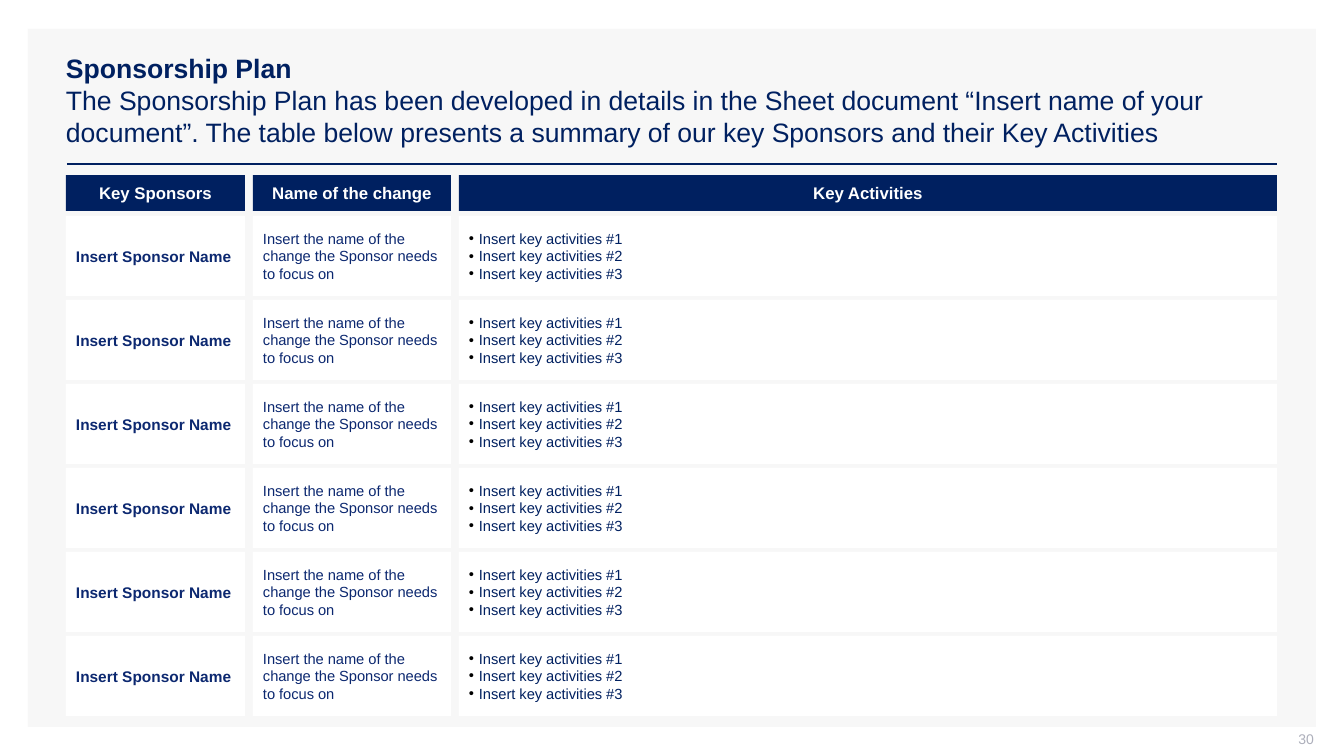
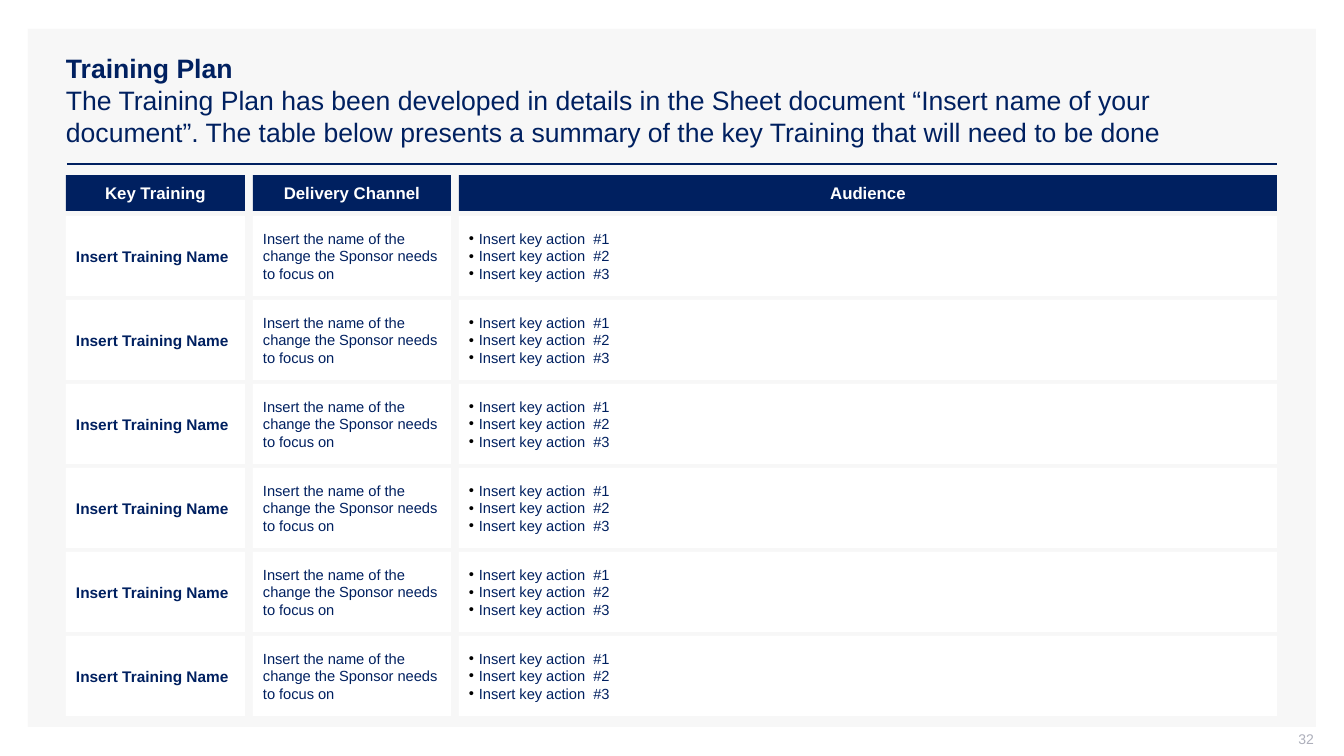
from dataclasses import dataclass

from lxml.etree import SubElement
from pptx import Presentation
from pptx.dml.color import RGBColor
from pptx.enum.shapes import MSO_CONNECTOR, MSO_SHAPE
from pptx.enum.text import MSO_ANCHOR, MSO_AUTO_SIZE, PP_ALIGN
from pptx.oxml.ns import qn
from pptx.util import Emu, Pt


@dataclass(frozen=True)
class Theme:
    font: str = "Arial"
    navy: str = "002060"
    blue: str = "0C2870"
    white: str = "FFFFFF"
    black: str = "000000"
    panel: str = "F7F7F7"
    grey: str = "ADAFBB"
    title_size: float = 19
    header_size: float = 12
    name_size: float = 11
    body_size: float = 10.5
    number_size: float = 10


@dataclass(frozen=True)
class Plan:
    title: str
    summary: str
    headers: tuple
    name: str
    action: str
    label_color: str
    number: int


THEME = Theme()
EMU_PER_PX = 914400 / 100.8
GRID_LEFT = 66
COLUMN_WIDTHS = (179, 198, 818)
COLUMN_GAP = 8
HEADER_TOP, HEADER_HEIGHT = 175, 36
ROW_TOP, ROW_HEIGHT, ROW_GAP, ROW_COUNT = 216, 80, 4, 6
HEADER_INSETS = (2, 2, 2, 2)
CELL_INSETS = (10, 5, 10, 5)
FOCUS = "Insert the name of the change the Sponsor needs to focus on"

PLANS = (
    Plan(
        "Sponsorship Plan",
        "The Sponsorship Plan has been developed in details in the Sheet document "
        "“Insert name of your document”. The table below presents a summary of our "
        "key Sponsors and their Key Activities",
        ("Key Sponsors", "Name of the change", "Key Activities"),
        "Insert Sponsor Name",
        "Insert key activities #",
        THEME.blue,
        30,
    ),
    Plan(
        "Training Plan",
        "The Training Plan has been developed in details in the Sheet document "
        "“Insert name of your document”. The table below presents a summary of the "
        "key Training that will need to be done",
        ("Key Training", "Delivery Channel", "Audience"),
        "Insert Training Name",
        "Insert key action  #",
        THEME.navy,
        32,
    ),
)


def px(length):
    return Emu(round(length * EMU_PER_PX))


def rgb(value):
    return RGBColor.from_string(value)


def add_span(para, text, size, color, bold=False):
    span = para.add_run()
    span.text = text
    span.font.name = THEME.font
    span.font.size = Pt(size)
    span.font.bold = bold
    span.font.color.rgb = rgb(color)


def set_frame(frame, insets):
    frame.word_wrap = True
    frame.auto_size = MSO_AUTO_SIZE.NONE
    frame.vertical_anchor = MSO_ANCHOR.MIDDLE
    (frame.margin_left, frame.margin_top,
     frame.margin_right, frame.margin_bottom) = map(px, insets)


def add_box(page, left, top, width, height, fill, insets=CELL_INSETS):
    box = page.shapes.add_shape(MSO_SHAPE.RECTANGLE, *map(px, (left, top, width, height)))
    box.shadow.inherit = False
    box.fill.solid()
    box.fill.fore_color.rgb = rgb(fill)
    box.line.fill.background()
    set_frame(box.text_frame, insets)
    return box


def add_text_cell(page, area, fill, insets, text, size, color, bold, align):
    box = add_box(page, *area, fill, insets)
    para = box.text_frame.paragraphs[0]
    para.alignment = align
    add_span(para, text, size, color, bold)


def add_header(page, area, text):
    add_text_cell(page, area, THEME.navy, HEADER_INSETS, text,
                  THEME.header_size, THEME.white, True, PP_ALIGN.CENTER)


def add_label(page, area, text, size, color, bold=False):
    add_text_cell(page, area, THEME.white, CELL_INSETS, text,
                  size, color, bold, PP_ALIGN.LEFT)


def set_bullet(para):
    properties = para._p.get_or_add_pPr()
    properties.set("marL", str(px(10)))
    properties.set("indent", str(px(-10)))
    color = SubElement(properties, qn("a:buClr"))
    SubElement(color, qn("a:srgbClr"), val=THEME.black)
    SubElement(properties, qn("a:buFont"), typeface=THEME.font)
    SubElement(properties, qn("a:buChar"), char="•")


def add_bullets(page, area, items):
    frame = add_box(page, *area, THEME.white).text_frame
    for index, item in enumerate(items):
        para = frame.add_paragraph() if index else frame.paragraphs[0]
        set_bullet(para)
        para.alignment = PP_ALIGN.LEFT
        add_span(para, item, THEME.body_size, THEME.navy)


def add_rule(page, left, right, top):
    rule = page.shapes.add_connector(
        MSO_CONNECTOR.STRAIGHT, *map(px, (left, top, right, top)))
    rule.line.color.rgb = rgb(THEME.navy)
    rule.line.width = Pt(2)
    SubElement(rule.element.spPr, qn("a:effectLst"))
    return rule


def dress_layout(layout, page):
    panel = add_box(page, 28, 29, 1288, 698, THEME.panel)
    rule = add_rule(page, 67, 1277, 164)
    for position, shape in enumerate((panel, rule), start=2):
        layout.shapes.element.insert(position, shape.element)
    title = next(item for item in layout.placeholders
                 if item.placeholder_format.idx == 0)
    title.left, title.top, title.width, title.height = map(px, (56, 40, 1221, 120))


def fill_title(page, plan):
    frame = page.shapes.title.text_frame
    set_frame(frame, CELL_INSETS)
    para = frame.paragraphs[0]
    para.alignment = PP_ALIGN.LEFT
    add_span(para, plan.title, THEME.title_size, THEME.navy, True)
    para.add_line_break()
    add_span(para, plan.summary, THEME.title_size, THEME.navy)


def add_page_number(page, number):
    box = page.shapes.add_textbox(*map(px, (1012, 731, 302, 21)))
    set_frame(box.text_frame, (10, 0, 0, 5))
    para = box.text_frame.paragraphs[0]
    para.alignment = PP_ALIGN.RIGHT
    add_span(para, str(number), THEME.number_size, THEME.grey)


def grid_row(top, height):
    left = GRID_LEFT
    areas = []
    for width in COLUMN_WIDTHS:
        areas.append((left, top, width, height))
        left += width + COLUMN_GAP
    return areas


def add_grid(page, plan):
    for area, text in zip(grid_row(HEADER_TOP, HEADER_HEIGHT), plan.headers):
        add_header(page, area, text)
    actions = [f"{plan.action}{number}" for number in range(1, 4)]
    for row in range(ROW_COUNT):
        top = ROW_TOP + row * (ROW_HEIGHT + ROW_GAP)
        name_area, focus_area, action_area = grid_row(top, ROW_HEIGHT)
        add_label(page, name_area, plan.name, THEME.name_size, plan.label_color, True)
        add_label(page, focus_area, FOCUS, THEME.body_size, plan.label_color)
        add_bullets(page, action_area, actions)


def main():
    deck = Presentation()
    deck.slide_width, deck.slide_height = px(1344), px(756)
    layout = deck.slide_layouts.get_by_name("Title Only")
    pages = [deck.slides.add_slide(layout) for _ in PLANS]
    dress_layout(layout, pages[0])
    for page, plan in zip(pages, PLANS):
        fill_title(page, plan)
        add_page_number(page, plan.number)
        add_grid(page, plan)
    deck.save("out.pptx")


if __name__ == "__main__":
    main()
